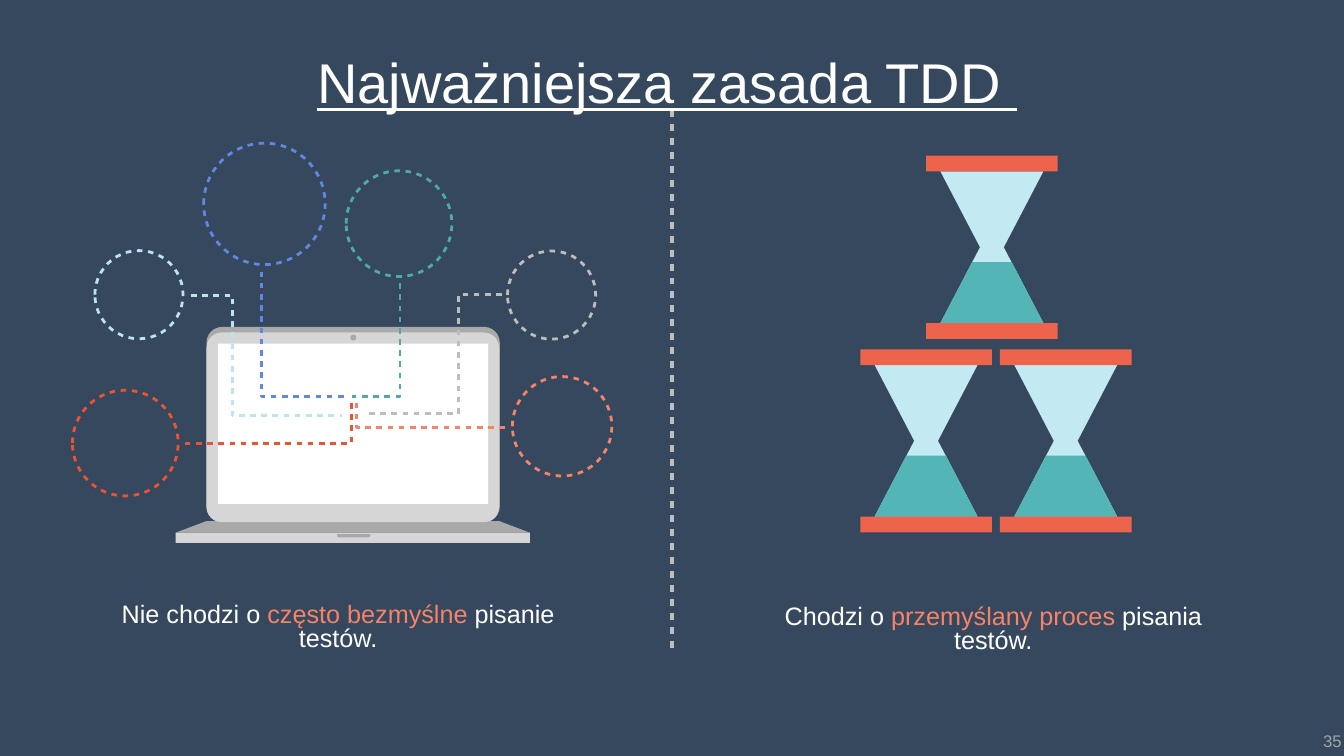
from dataclasses import dataclass

from lxml.etree import SubElement
from pptx import Presentation
from pptx.dml.color import RGBColor
from pptx.enum.shapes import MSO_CONNECTOR, MSO_SHAPE
from pptx.enum.text import MSO_ANCHOR, PP_ALIGN
from pptx.oxml.ns import qn
from pptx.util import Pt


@dataclass(frozen=True)
class Theme:
    font: str = "Arial"
    title_size: float = 80
    caption_size: float = 36
    number_size: float = 24
    background: str = "35485E"
    text: str = "FFFFFF"
    accent: str = "F88266"
    number: str = "A4A4A4"
    silver: str = "D6D6D6"
    steel: str = "A9A9A9"
    screen: str = "FFFFFF"
    glass: str = "C3E9F2"
    sand: str = "54B5B7"
    frame: str = "EE634C"
    red: str = "EB5333"
    ice: str = "BBE4ED"
    teal: str = "50A9A7"
    grey: str = "BDBDBD"
    coral: str = "F58269"
    blue: str = "6286E4"


@dataclass(frozen=True)
class Box:
    left: float
    top: float
    width: float
    height: float

    def inner(self, left, top, width, height):
        return Box(self.left + left, self.top + top, width, height)

    def lengths(self):
        return Pt(self.left), Pt(self.top), Pt(self.width), Pt(self.height)


THEME = Theme()


def color(value):
    return RGBColor.from_string(value)


def paint(shape, fill):
    shape.shadow.inherit = False
    shape.fill.solid()
    shape.fill.fore_color.rgb = color(fill)
    shape.line.fill.background()


def add_solid(slide, kind, box, fill, adjustments=()):
    shape = slide.shapes.add_shape(kind, *box.lengths())
    paint(shape, fill)
    for index, value in enumerate(adjustments):
        shape.adjustments[index] = value
    return shape


def add_outline(slide, box, points, close):
    places = [(Pt(box.left + x), Pt(box.top + y)) for x, y in points]
    builder = slide.shapes.build_freeform(*places[0])
    builder.add_line_segments(places[1:], close=close)
    return builder.convert_to_shape()


def dash(line, line_color, width):
    line.color.rgb = color(line_color)
    line.width = Pt(width)
    pattern = SubElement(line._get_or_add_ln(), qn("a:custDash"))
    SubElement(pattern, qn("a:ds"), d="200000", sp="200000")


def dash_shape(shape, line_color):
    shape.shadow.inherit = False
    shape.fill.background()
    dash(shape.line, line_color, 4)


def add_text(slide, box, parts, size, anchor=MSO_ANCHOR.TOP, spacing=1.0):
    shape = slide.shapes.add_textbox(*box.lengths())
    frame = shape.text_frame
    frame.word_wrap = True
    frame.vertical_anchor = anchor
    frame.margin_left = frame.margin_right = frame.margin_top = frame.margin_bottom = 0
    paragraph = frame.paragraphs[0]
    paragraph.alignment = PP_ALIGN.CENTER
    paragraph.line_spacing = spacing
    for words, text_color in parts:
        run = paragraph.add_run()
        run.text = words
        run.font.name = THEME.font
        run.font.size = Pt(size)
        run.font.color.rgb = color(text_color)
    return paragraph


def draw_title(slide, box):
    paragraph = add_text(slide, box, [("Najważniejsza zasada TDD ", THEME.text)], THEME.title_size)
    paragraph.runs[0].font.underline = True


def draw_divider(slide, box):
    line = slide.shapes.add_connector(
        MSO_CONNECTOR.STRAIGHT, Pt(box.left), Pt(box.top), Pt(box.left), Pt(box.top + box.height)
    )
    dash(line.line, THEME.grey, 5)
    SubElement(line._element.spPr, qn("a:effectLst"))


def draw_caption(slide, box, before, emphasis, after):
    parts = [(before, THEME.text), (emphasis, THEME.accent), (after, THEME.text)]
    add_text(slide, box, parts, THEME.caption_size, spacing=0.8)


def draw_laptop(slide, box):
    rounded = MSO_SHAPE.ROUNDED_RECTANGLE
    parts = [
        (MSO_SHAPE.TRAPEZOID, (0, 277.5, 506, 16.5), THEME.steel, (2.65,)),
        (rounded, (44, 0, 419, 279), THEME.steel, (0.08,)),
        (rounded, (44, 8, 418, 271), THEME.silver, (0.08,)),
        (MSO_SHAPE.RECTANGLE, (60.5, 24, 386, 229), THEME.screen, ()),
        (MSO_SHAPE.RECTANGLE, (0, 294, 506, 14.5), THEME.silver, ()),
        (MSO_SHAPE.ROUND_2_SAME_RECTANGLE, (230.5, 296, 47.5, 4.5), THEME.steel, (0, 0.5)),
        (MSO_SHAPE.OVAL, (249.5, 11, 8.5, 8.5), THEME.steel, ()),
    ]
    for kind, place, fill, adjustments in parts:
        add_solid(slide, kind, box.inner(*place), fill, adjustments)


def draw_network(slide, box):
    draw_laptop(slide, box.inner(151, 267, 506, 308.5))
    nodes = [
        (THEME.red, (3.5, 357.5, 151), [(164, 433.5), (402, 433.5), (402, 372.5)]),
        (THEME.ice, (35.5, 158, 126), [(173, 222), (232, 222), (232, 393.5), (388, 393.5)]),
        (THEME.teal, (394.5, 44, 151), [(471.5, 204.5), (471.5, 366), (403.5, 366)]),
        (THEME.grey, (625, 158.5, 126), [(617, 221), (555, 221), (555, 391), (420, 391)]),
        (THEME.coral, (632, 338, 142), [(621.5, 410.5), (409, 410.5), (409, 372.5)]),
        (THEME.blue, (191, 4.5, 173.5), [(273.5, 188), (273.5, 366.5), (397.5, 366.5)]),
    ]
    for node_color, (left, top, diameter), route in nodes:
        place = box.inner(left, top, diameter, diameter)
        circle = slide.shapes.add_shape(MSO_SHAPE.OVAL, *place.lengths())
        dash_shape(circle, node_color)
        dash_shape(add_outline(slide, box, route, False), node_color)


def draw_hourglass(slide, box):
    bar, inset, waist = 22.5, 20.5, 17
    middle, center = box.width / 2, box.height / 2
    right, bottom = box.width - inset, box.height - bar
    outline = [
        (inset, bar), (right, bar), (middle + waist, center), (right, bottom),
        (inset, bottom), (middle - waist, center),
    ]
    paint(add_outline(slide, box, outline, True), THEME.glass)
    sand = box.inner(inset, bottom - 87, right - inset, 87)
    add_solid(slide, MSO_SHAPE.TRAPEZOID, sand, THEME.sand, (0.52,))
    for top in (0, bottom):
        add_solid(slide, MSO_SHAPE.RECTANGLE, box.inner(0, top, box.width, bar), THEME.frame)


def draw_hourglasses(slide, box):
    width, height = 188, 261.5
    low = box.height - height
    for left, top in [(94, 0), (0, low), (box.width - width, low)]:
        draw_hourglass(slide, box.inner(left, top, width, height))


def draw_slide_number(slide, box):
    add_text(slide, box, [("35", THEME.number)], THEME.number_size, MSO_ANCHOR.MIDDLE)


def main():
    presentation = Presentation()
    presentation.slide_width, presentation.slide_height = Pt(1920), Pt(1080)
    slide = presentation.slides.add_slide(presentation.slide_layouts[6])
    slide.background.fill.solid()
    slide.background.fill.fore_color.rgb = color(THEME.background)
    draw_slide_number(slide, Box(1887, 1040, 33, 36))
    draw_divider(slide, Box(960, 157, 0, 775))
    draw_network(slide, Box(100, 200, 774, 576))
    draw_caption(slide, Box(173, 863, 620, 70), "Nie chodzi o ", "często bezmyślne ", "pisanie testów.")
    draw_hourglasses(slide, Box(1229, 222.5, 387.5, 538))
    draw_caption(slide, Box(1112, 866, 614, 70), "Chodzi o ", "przemyślany proces ", "pisania testów.")
    draw_title(slide, Box(216, 68, 1474, 92))
    presentation.save("out.pptx")


if __name__ == "__main__":
    main()
